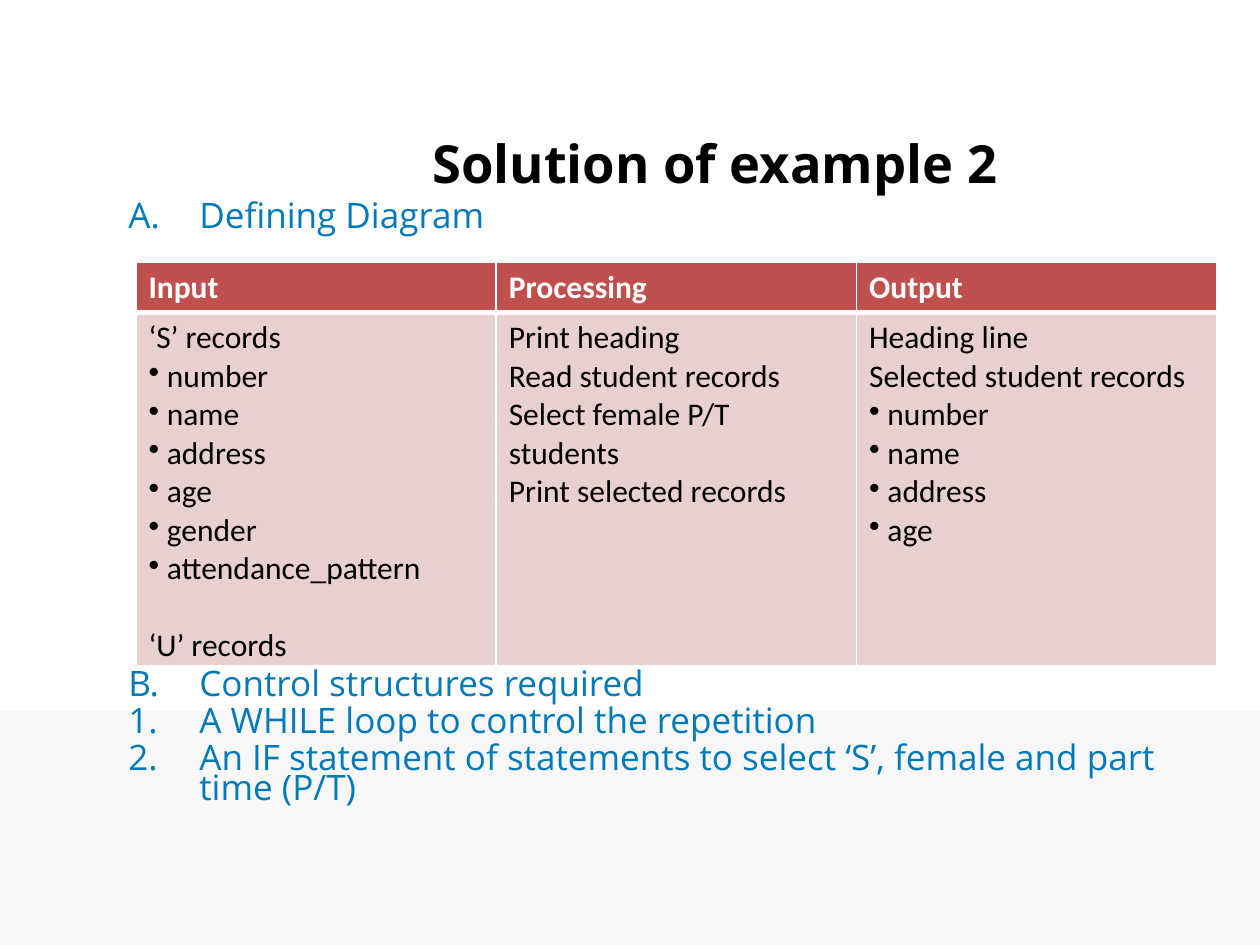
from dataclasses import dataclass
from typing import Any

import lxml.etree
import pptx
import pptx.dml.color
import pptx.enum.shapes
import pptx.enum.text
import pptx.oxml
import pptx.oxml.ns
import pptx.util

Cm = pptx.util.Cm
Pt = pptx.util.Pt


@dataclass(frozen=True)
class Theme:
    """Colours, fonts and type sizes of the slide."""

    black: str = "000000"
    white: str = "FFFFFF"
    band: str = "F7F7F7"
    blue: str = "0079B8"
    header: str = "C0504D"
    body: str = "E8D0D0"
    heading_font: str = "Open Sans"
    table_font: str = "Calibri"
    title_size: float = 30
    list_size: float = 20
    table_size: float = 18


@dataclass(frozen=True)
class Box:
    """Position and size in centimetres."""

    left: float
    top: float
    width: float
    height: float

    def lengths(self) -> tuple:
        """Return the four lengths for an add_ call."""
        return tuple(Cm(v) for v in (self.left, self.top, self.width, self.height))


@dataclass(frozen=True)
class Item:
    """Numbered line of the outline."""

    text: str
    scheme: str
    start: int = 1


@dataclass(frozen=True)
class Line:
    """Line of a table cell."""

    text: str
    bullet: bool = False
    before: float = 0


@dataclass(frozen=True)
class Column:
    """Table column with its heading and lines."""

    heading: str
    lines: list[Line]


THEME = Theme()
FIELDS = [Line(t, bullet=True) for t in ("number", "name", "address", "age")]
COLUMNS = [
    Column("Input", [
        Line("‘S’ records"),
        *FIELDS,
        Line("gender", bullet=True),
        Line("attendance_pattern", bullet=True),
        Line("‘U’ records", before=22),
    ]),
    Column("Processing", [
        Line("Print heading"),
        Line("Read student records"),
        Line("Select female P/T students"),
        Line("Print selected records"),
    ]),
    Column("Output", [Line("Heading line"), Line("Selected student records"), *FIELDS]),
]
DIAGRAM = [Item("Defining Diagram", "alphaUcPeriod")]
CONTROLS = [
    Item("Control structures required", "alphaUcPeriod", 2),
    Item("A WHILE loop to control the repetition", "arabicPeriod"),
    Item("An IF statement of statements to select ‘S’, female and part time (P/T)",
         "arabicPeriod"),
]


def rgb(colour: str) -> Any:
    """Return a colour object."""
    return pptx.dml.color.RGBColor.from_string(colour)


def sub(parent: Any, tag: str, **attrs: Any) -> Any:
    """Append a drawing element with attributes."""
    return lxml.etree.SubElement(
        parent, pptx.oxml.ns.qn(tag), {k: str(v) for k, v in attrs.items()})


def write(p: Any, text: str, font: str, size: float, colour: str, bold: bool = False) -> None:
    """Set the text of a paragraph and format its runs."""
    p.text = text
    for r in p.runs:
        r.font.name, r.font.size, r.font.bold = font, Pt(size), bold
        r.font.color.rgb = rgb(colour)


def hang(p: Any, indent: float, tag: str, **attrs: Any) -> None:
    """Give a paragraph a bullet with a hanging indent."""
    pPr = p._p.get_or_add_pPr()
    pPr.set("marL", str(Cm(indent)))
    pPr.set("indent", str(-Cm(indent)))
    sub(pPr, tag, **attrs)


def add_band(s: Any, box: Box) -> None:
    """Draw the grey band behind the title."""
    sp = s.shapes.add_shape(pptx.enum.shapes.MSO_SHAPE.RECTANGLE, *box.lengths())
    sp.shadow.inherit = False
    sp.fill.solid()
    sp.fill.fore_color.rgb = rgb(THEME.band)
    sp.line.fill.background()
    s.shapes.title.element.addprevious(sp.element)


def set_title(s: Any, text: str, box: Box) -> None:
    """Place and format the title."""
    sp = s.shapes.title
    sp.left, sp.top, sp.width, sp.height = box.lengths()
    tf = sp.text_frame
    tf.auto_size = pptx.enum.text.MSO_AUTO_SIZE.NONE
    tf.vertical_anchor = pptx.enum.text.MSO_ANCHOR.MIDDLE
    p = tf.paragraphs[0]
    write(p, text, THEME.heading_font, THEME.title_size, THEME.black, bold=True)
    p.alignment = pptx.enum.text.PP_ALIGN.LEFT


def add_outline(s: Any, items: list[Item], box: Box) -> None:
    """Add a numbered outline."""
    tf = s.shapes.add_textbox(*box.lengths()).text_frame
    tf.word_wrap = True
    for i, item in enumerate(items):
        p = tf.add_paragraph() if i else tf.paragraphs[0]
        write(p, item.text, THEME.heading_font, THEME.list_size, THEME.blue)
        p.line_spacing, p.space_before = 0.7, Pt(4.4)
        hang(p, 1.43, "a:buAutoNum", type=item.scheme, startAt=item.start)


def style_cell(cell: Any, fill: str, top: float, bottom: float) -> None:
    """Set the borders and fill of a table cell."""
    tcPr = cell._tc.get_or_add_tcPr()
    for side, width in (("L", 1), ("R", 1), ("T", top), ("B", bottom)):
        ln = sub(tcPr, f"a:ln{side}", w=Pt(width))
        sub(sub(ln, "a:solidFill"), "a:srgbClr", val=THEME.white)
    cell.fill.solid()
    cell.fill.fore_color.rgb = rgb(fill)


def add_columns(s: Any, columns: list[Column], box: Box, header_height: float) -> None:
    """Add the defining diagram as a table."""
    table = s.shapes.add_table(2, len(columns), *box.lengths()).table
    table.rows[0].height = Cm(header_height)
    table.rows[1].height = Cm(box.height - header_height)
    for i, column in enumerate(columns):
        table.columns[i].width = Cm(box.width / len(columns))
        head, body = table.cell(0, i), table.cell(1, i)
        style_cell(head, THEME.header, 1, 3)
        style_cell(body, THEME.body, 3, 1)
        write(head.text_frame.paragraphs[0], column.heading, THEME.table_font,
              THEME.table_size, THEME.white, bold=True)
        tf = body.text_frame
        for j, line in enumerate(column.lines):
            p = tf.add_paragraph() if j else tf.paragraphs[0]
            write(p, line.text, THEME.table_font, THEME.table_size, THEME.black)
            if line.before:
                p.space_before = Pt(line.before)
            if line.bullet:
                hang(p, 0.37, "a:buChar", char="•")


def main() -> None:
    """Build the slide."""
    prs = pptx.Presentation()
    prs.slide_width, prs.slide_height = Cm(25.4), Cm(19.05)
    s = prs.slides.add_slide(prs.slide_layouts[5])
    add_band(s, Box(0, 14.33, 25.4, 4.72))
    set_title(s, "Solution of example 2", Box(8.46, 2.11, 15.6, 2.34))
    add_outline(s, DIAGRAM, Box(2.34, 4.01, 21.79, 1.2))
    add_outline(s, CONTROLS, Box(2.34, 13.44, 21.79, 4.2))
    add_columns(s, COLUMNS, Box(2.74, 5.28, 21.79, 8.13), 1.02)
    prs.save("out.pptx")


if __name__ == "__main__":
    main()
